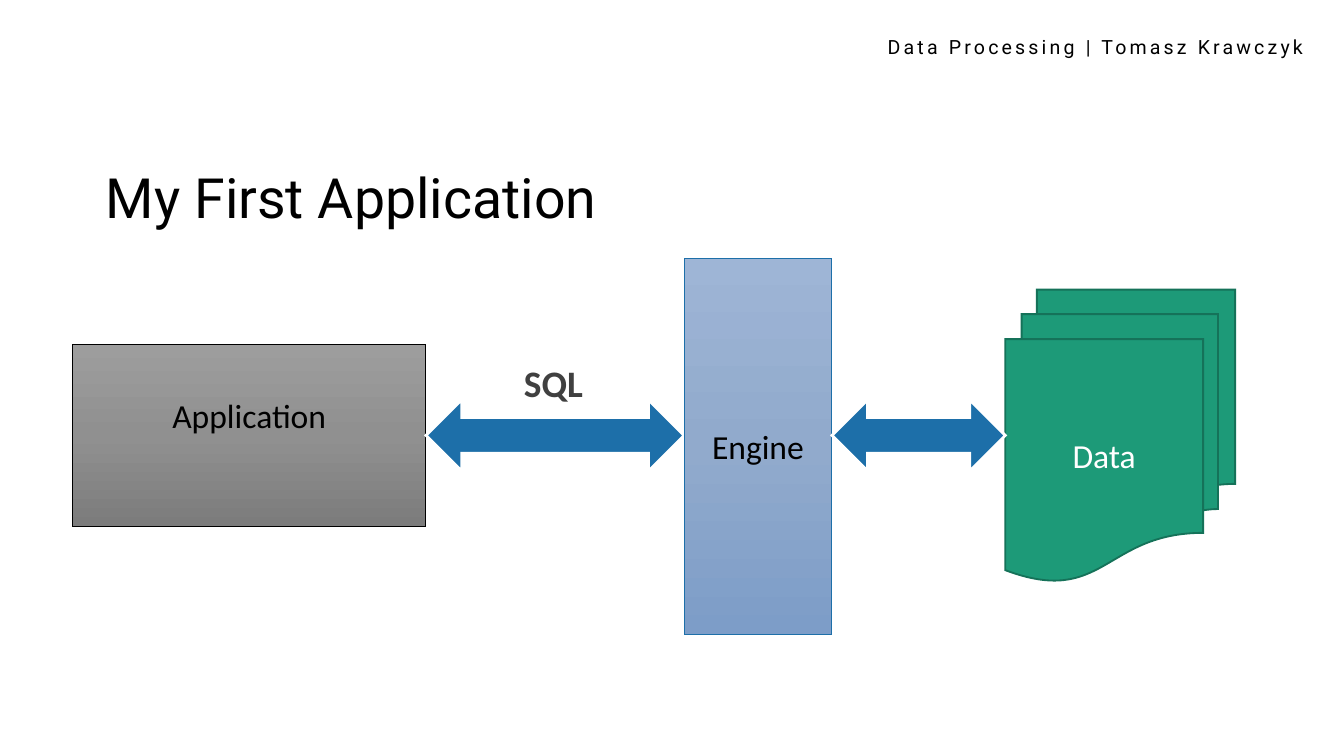
import copy
import itertools

import lxml.etree
import pptx
import pptx.dml.color
import pptx.enum.shapes
import pptx.enum.text
import pptx.oxml.ns
import pptx.util

Inches = pptx.util.Inches
Pt = pptx.util.Pt
Shape = pptx.enum.shapes.MSO_SHAPE
Align = pptx.enum.text.PP_ALIGN
Anchor = pptx.enum.text.MSO_ANCHOR

WIDTH = 10
HEIGHT = WIDTH * 9 / 16
AXIS = 3.24  # height of the line on which the chain is centred
CHAIN_LEFT = 0.54
# The chain's columns touch: application, arrow, engine, arrow, data
COLUMNS = [2.63, 1.92, 1.1, 1.29, 1.71]

GREYS = ["9D9D9D", "909090", "7C7C7C"]
BLUES = ["9EB5D6", "91AACC", "7D9DC8"]
ARROW = dict(shape=Shape.LEFT_RIGHT_ARROW, height=0.53, fill=["1D6FA9"],
             line="FFFFFF", weight=1.5)

# Back to front
PARTS = [
    dict(column=0, shape=Shape.RECTANGLE, height=1.35, fill=GREYS,
         line="000000", weight=0.5, label="Application", raised=0.3),
    dict(column=4, shape=Shape.FLOWCHART_MULTIDOCUMENT, height=2.17,
         fill=["1D9A78"], line="157259", weight=1, label="Data", ink="FFFFFF"),
    dict(column=1, **ARROW),
    dict(column=2, shape=Shape.RECTANGLE, height=2.8, fill=BLUES,
         line="1D6FA9", weight=0.5, label="Engine", lowered=0.08),
    dict(column=3, **ARROW),
]

TEXTS = [
    dict(text="Data Processing | Tomasz Krawczyk", at=(3.77, 0.21, 6.03, 0.28),
         font="Roboto", size=10.5, align=Align.RIGHT, tracking=173),
    dict(text="My First Application", at=(0.69, 1.2, 8.62, 0.59),
         font="Roboto", size=29.7, anchor=Anchor.MIDDLE, spacing=0.9),
    dict(text="SQL", at=(3.8, 2.63, 0.65, 0.44), font="Calibri", size=20,
         ink="404040", bold=True, wrap=False),
]


def colour(hex_value):
    return pptx.dml.color.RGBColor.from_string(hex_value)


def write(frame, text, font, size, ink="000000", bold=False, align=Align.LEFT,
          anchor=Anchor.TOP, wrap=True, spacing=None, tracking=None):
    frame.word_wrap = wrap
    frame.vertical_anchor = anchor
    para = frame.paragraphs[0]
    span = para.add_run()
    span.text = text
    para.alignment = align
    para.line_spacing = spacing
    para.font.name = font
    para.font.size = Pt(size)
    para.font.bold = bold
    para.font.color.rgb = colour(ink)
    if tracking:
        span.font._element.set("spc", str(tracking))


def paint(shape, colours):
    """Fill solid with one colour, or downwards with evenly spaced stops."""
    if len(colours) == 1:
        shape.fill.solid()
        shape.fill.fore_color.rgb = colour(colours[0])
        return
    shape.fill.gradient()
    shape.fill.gradient_angle = 270
    first = shape._element.spPr.xpath("./a:gradFill/a:gsLst/a:gs")[0]
    for _ in colours[2:]:
        first.addnext(copy.deepcopy(first))
    for index, stop in enumerate(shape.fill.gradient_stops):
        stop.position = index / (len(colours) - 1)
        stop.color.rgb = colour(colours[index])


def outline(shape, line, weight):
    """Draw a line with sharp corners."""
    shape.line.color.rgb = colour(line)
    shape.line.width = Pt(weight)
    lxml.etree.SubElement(shape._element.spPr.xpath("./a:ln")[0],
                          pptx.oxml.ns.qn("a:miter"), lim="800000")


def add_part(page, left, width, shape, height, fill, line, weight,
             label=None, ink="000000", raised=0, lowered=0):
    top = AXIS - height / 2 + lowered
    part = page.shapes.add_shape(
        shape, Inches(left), Inches(top), Inches(width), Inches(height))
    part.shadow.inherit = False
    paint(part, fill)
    outline(part, line, weight)
    if label:
        part.text_frame.margin_bottom = Inches(0.05 + raised)
        write(part.text_frame, label, "Calibri", 18, ink,
              align=Align.CENTER, anchor=Anchor.MIDDLE)


def main():
    deck = pptx.Presentation()
    deck.slide_width, deck.slide_height = Inches(WIDTH), Inches(HEIGHT)
    page = deck.slides.add_slide(deck.slide_layouts[6])

    lefts = list(itertools.accumulate(COLUMNS, initial=CHAIN_LEFT))
    for part in PARTS:
        column = part["column"]
        look = {key: value for key, value in part.items() if key != "column"}
        add_part(page, lefts[column], COLUMNS[column], **look)

    for item in TEXTS:
        box = page.shapes.add_textbox(*map(Inches, item["at"]))
        style = {key: value for key, value in item.items() if key != "at"}
        write(box.text_frame, **style)

    deck.save("out.pptx")


if __name__ == "__main__":
    main()
